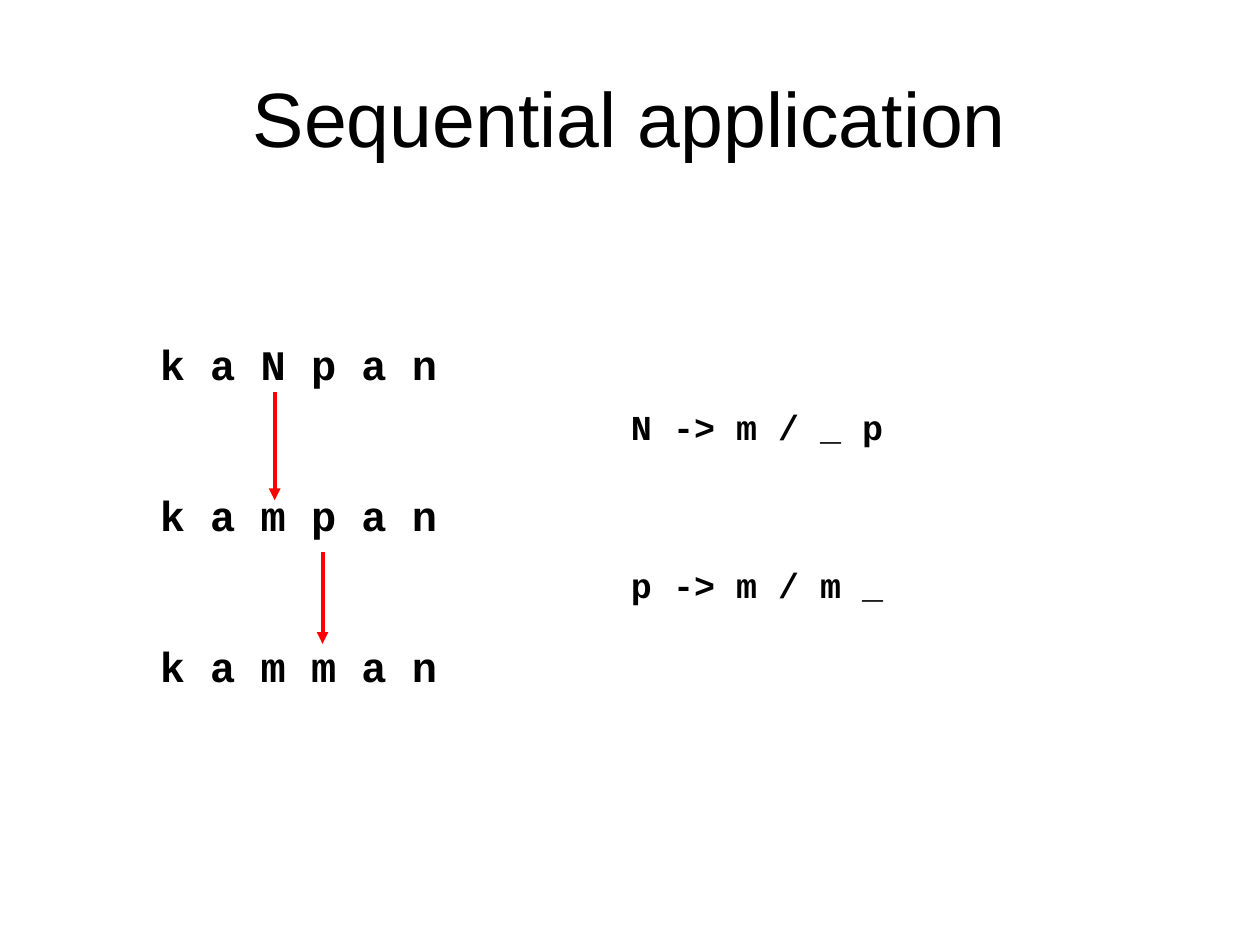
"""Build a slide on the sequential application of two sound rules."""
from typing import NamedTuple

from lxml.etree import SubElement
from pptx import Presentation
from pptx.dml.color import RGBColor
from pptx.enum.shapes import MSO_CONNECTOR
from pptx.enum.text import MSO_ANCHOR, MSO_AUTO_SIZE, PP_ALIGN
from pptx.oxml.ns import qn
from pptx.util import Inches, Pt

BLACK = RGBColor(0, 0, 0)
RED = RGBColor(255, 0, 0)


class Box(NamedTuple):
    left: float
    top: float
    width: float
    height: float


class Rule(NamedTuple):
    text: str
    top: float


class Arrow(NamedTuple):
    x: float
    start: float
    end: float


FORMS = ["k a N p a n", "k a m p a n", "k a m m a n"]
RULES = [Rule("N -> m / _ p", 3.17), Rule("p -> m / m _", 4.42)]
ARROWS = [Arrow(2.18, 3.11, 3.97), Arrow(2.56, 4.38, 5.11)]


def add_text(slide, box: Box, lines: list[str], *, size: float,
             font: str = "Courier New", bold: bool = True, wrap: bool = False,
             align=PP_ALIGN.CENTER, anchor=MSO_ANCHOR.TOP, gap: float = 0) -> None:
    shape = slide.shapes.add_textbox(*map(Inches, box))
    frame = shape.text_frame
    frame.word_wrap = wrap
    frame.auto_size = MSO_AUTO_SIZE.NONE if wrap else MSO_AUTO_SIZE.SHAPE_TO_FIT_TEXT
    frame.vertical_anchor = anchor
    for i, line in enumerate(lines):
        para = frame.paragraphs[0] if i == 0 else frame.add_paragraph()
        para.alignment = align
        if i:
            para.space_before = Pt(gap)
        run = para.add_run()
        run.text = line
        run.font.name = font
        run.font.size = Pt(size)
        run.font.bold = bold
        run.font.color.rgb = BLACK


def add_arrow(slide, arrow: Arrow) -> None:
    x = Inches(arrow.x)
    link = slide.shapes.add_connector(
        MSO_CONNECTOR.STRAIGHT, x, Inches(arrow.start), x, Inches(arrow.end))
    link.line.color.rgb = RED
    link.line.width = Pt(2.25)
    props = link.line._get_or_add_ln()
    SubElement(props, qn("a:tailEnd"), type="triangle")
    SubElement(props.getparent(), qn("a:effectLst"))


def main() -> None:
    deck = Presentation()
    deck.slide_width, deck.slide_height = Inches(10), Inches(7.5)
    slide = deck.slides.add_slide(deck.slide_layouts[6])
    add_text(slide, Box(0.5, 0.3, 9, 1.25), ["Sequential application"], size=44,
             font="Arial", bold=False, wrap=True, anchor=MSO_ANCHOR.MIDDLE)
    for rule in RULES:
        add_text(slide, Box(4.89, rule.top, 2.24, 0.43), [rule.text], size=20)
    add_text(slide, Box(1.17, 2.64, 2.4, 2.9), FORMS, size=24,
             align=PP_ALIGN.LEFT, gap=57.3)
    for arrow in ARROWS:
        add_arrow(slide, arrow)
    deck.save("out.pptx")


if __name__ == "__main__":
    main()
